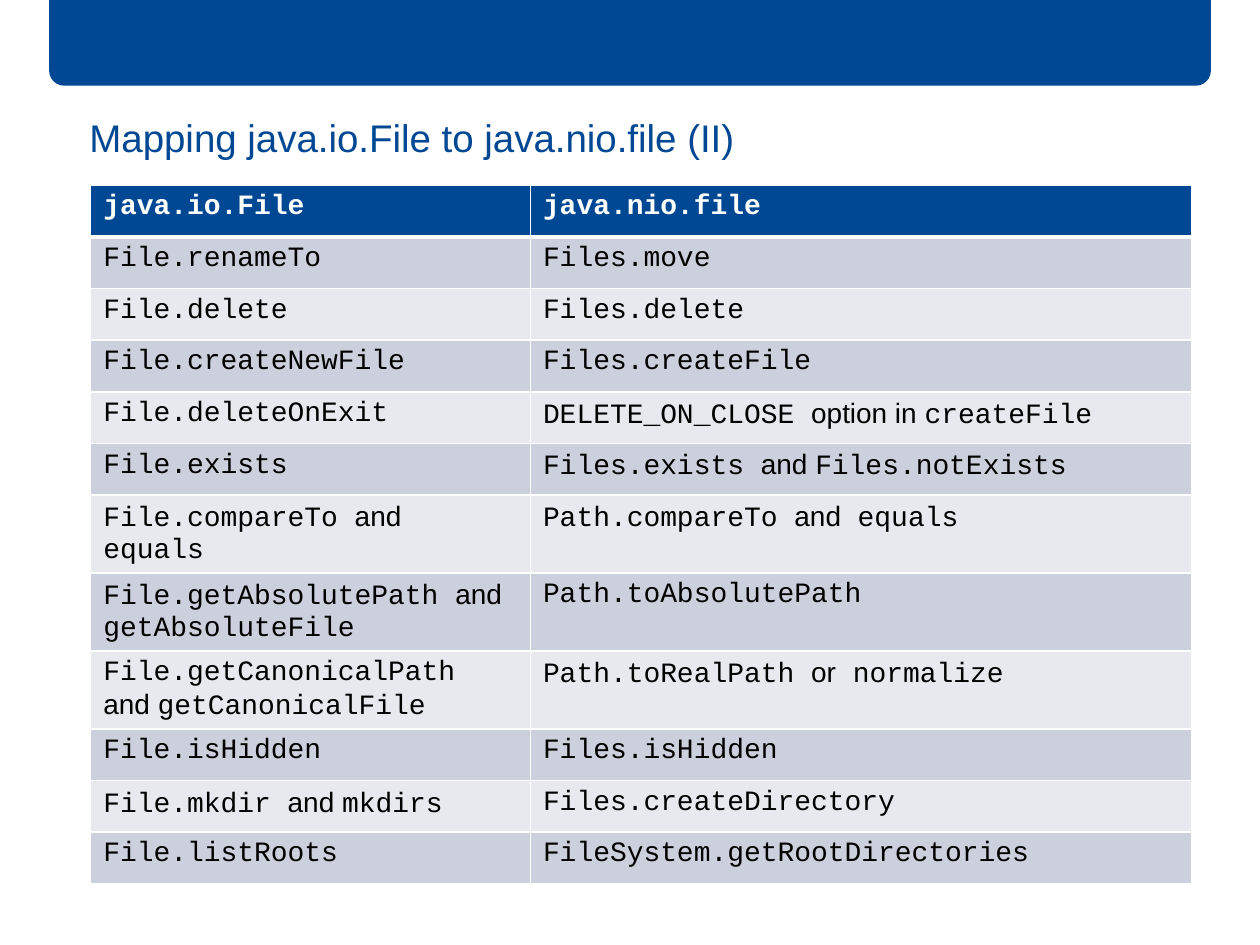
from dataclasses import dataclass

from lxml import etree
from pptx import Presentation
from pptx.dml.color import RGBColor
from pptx.enum.shapes import MSO_SHAPE
from pptx.enum.text import MSO_ANCHOR, MSO_AUTO_SIZE, PP_ALIGN
from pptx.oxml.ns import qn
from pptx.util import Inches, Pt

BANNER_SHAPE = MSO_SHAPE.ROUND_2_SAME_RECTANGLE
TOP = MSO_ANCHOR.TOP
LEFT = PP_ALIGN.LEFT
NO_AUTOFIT = MSO_AUTO_SIZE.NONE
TITLE_ONLY = 5

MAPPING = [
    ("java.io.File", "java.nio.file"),
    ("File.renameTo", "Files.move"),
    ("File.delete", "Files.delete"),
    ("File.createNewFile", "Files.createFile"),
    ("File.deleteOnExit", "DELETE_ON_CLOSE |option in |createFile"),
    ("File.exists", "Files.exists |and |Files.notExists"),
    ("File.compareTo |and| equals", "Path.compareTo |and| equals"),
    ("File.getAbsolutePath |and |getAbsoluteFile", "Path.toAbsolutePath"),
    ("File.getCanonicalPath |and |getCanonicalFile", "Path.toRealPath |or| normalize"),
    ("File.isHidden", "Files.isHidden"),
    ("File.mkdir |and |mkdirs", "Files.createDirectory"),
    ("File.listRoots", "FileSystem.getRootDirectories"),
]


@dataclass(frozen=True)
class Theme:
    primary: str = "004893"
    light: str = "FFFFFF"
    dark: str = "000000"
    bands: tuple = ("E7E9EE", "CCCFDC")
    prose_font: str = "Arial"
    code_font: str = "Courier New"
    title_size: int = 22
    table_size: int = 16
    border: int = 1
    header_border: int = 3


class SlideBuilder:
    def __init__(self, presentation, theme):
        self.theme = theme
        self.slide = presentation.slides.add_slide(presentation.slide_layouts[TITLE_ONLY])

    def style_run(self, run, font, size, color, bold=False):
        run.font.name = font
        run.font.size = Pt(size)
        run.font.bold = bold
        run.font.color.rgb = RGBColor.from_string(color)

    def banner(self, left, top, width, height, radius):
        shape = self.slide.shapes.add_shape(
            BANNER_SHAPE, Inches(left), Inches(top), Inches(width), Inches(height)
        )
        shape.adjustments[0] = 0
        shape.adjustments[1] = radius / height
        shape.shadow.inherit = False
        shape.fill.solid()
        shape.fill.fore_color.rgb = RGBColor.from_string(self.theme.primary)
        shape.line.fill.background()

    def title(self, text, left, top, width, height):
        shape = self.slide.shapes.title
        shape.left, shape.top = Inches(left), Inches(top)
        shape.width, shape.height = Inches(width), Inches(height)
        frame = shape.text_frame
        frame.text = text
        frame.word_wrap = True
        frame.auto_size = NO_AUTOFIT
        frame.vertical_anchor = TOP
        frame.margin_left = frame.margin_top = frame.margin_right = frame.margin_bottom = 0
        paragraph = frame.paragraphs[0]
        paragraph.alignment = LEFT
        paragraph.line_spacing = 0.9
        self.style_run(
            paragraph.runs[0], self.theme.prose_font, self.theme.title_size, self.theme.primary
        )

    def table(self, rows, left, top, column_widths, row_height):
        table = self.slide.shapes.add_table(
            len(rows), len(column_widths), Inches(left), Inches(top),
            Inches(sum(column_widths)), Inches(row_height * len(rows)),
        ).table
        for column, width in zip(table.columns, column_widths):
            column.width = Inches(width)
        for row_index, texts in enumerate(rows):
            table.rows[row_index].height = Inches(row_height)
            for column_index, text in enumerate(texts):
                self.cell(table.cell(row_index, column_index), text, row_index)

    def cell(self, cell, text, row_index):
        theme = self.theme
        is_header = row_index == 0
        self.borders(cell, row_index)
        cell.fill.solid()
        fill = theme.primary if is_header else theme.bands[row_index % 2]
        cell.fill.fore_color.rgb = RGBColor.from_string(fill)
        paragraph = cell.text_frame.paragraphs[0]
        for part_index, part in enumerate(text.split("|")):
            run = paragraph.add_run()
            run.text = part
            font = theme.prose_font if part_index % 2 else theme.code_font
            color = theme.light if is_header else theme.dark
            self.style_run(run, font, theme.table_size, color, is_header)

    def borders(self, cell, row_index):
        theme = self.theme
        properties = cell._tc.get_or_add_tcPr()
        widths = {
            "a:lnL": theme.border,
            "a:lnR": theme.border,
            "a:lnT": theme.header_border if row_index == 1 else theme.border,
            "a:lnB": theme.header_border if row_index == 0 else theme.border,
        }
        for tag, width in widths.items():
            line = etree.SubElement(properties, qn(tag), w=str(Pt(width)))
            fill = etree.SubElement(line, qn("a:solidFill"))
            etree.SubElement(fill, qn("a:srgbClr"), val=theme.light)


def main():
    presentation = Presentation()
    presentation.slide_width = Inches(10)
    presentation.slide_height = Inches(7.5)
    builder = SlideBuilder(presentation, Theme())
    builder.banner(0.39, -0.01, 9.22, 0.69, radius=0.12)
    builder.title("Mapping java.io.File to java.nio.file (II)", 0.71, 0.95, 8.58, 0.47)
    builder.table(MAPPING, 0.72, 1.47, (3.49, 5.25), 0.41)
    presentation.save("out.pptx")


if __name__ == "__main__":
    main()
